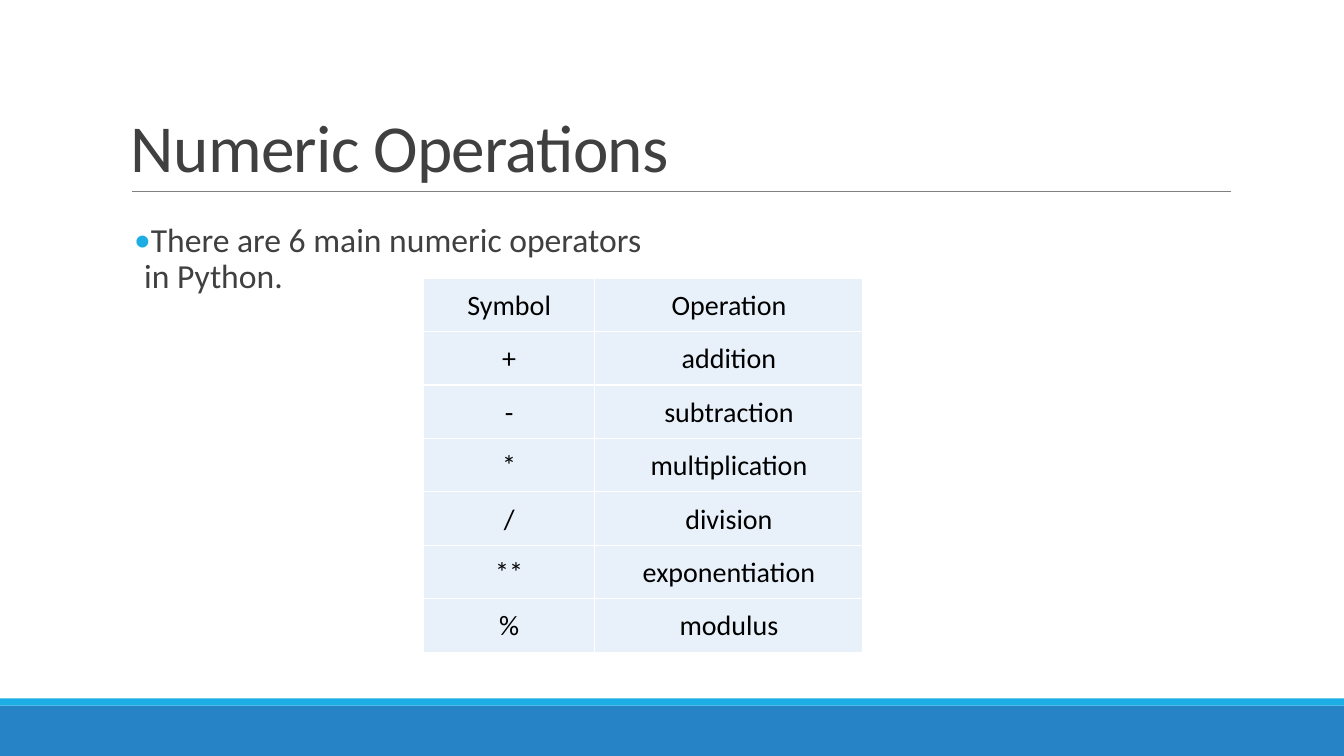
import dataclasses

import lxml.etree
import pptx
import pptx.dml.color
import pptx.enum.shapes
import pptx.enum.text
import pptx.oxml.ns
import pptx.util

Inches = pptx.util.Inches
Pt = pptx.util.Pt
qn = pptx.oxml.ns.qn
ANCHOR = pptx.enum.text.MSO_ANCHOR
ALIGN = pptx.enum.text.PP_ALIGN
FONT = "Calibri"
DARK_GRAY = "404040"
BRIGHT_BLUE = "1CADE4"


@dataclasses.dataclass
class Band:
    top: float
    height: float
    color: str


@dataclasses.dataclass
class Operator:
    symbol: str
    operation: str


BANDS = [Band(7, 0.5, "2683C6"), Band(6.93, 0.07, BRIGHT_BLUE)]
HEADER = Operator("Symbol", "Operation")
OPERATORS = [
    Operator("+", "addition"),
    Operator("-", "subtraction"),
    Operator("*", "multiplication"),
    Operator("/", "division"),
    Operator("**", "exponentiation"),
    Operator("%", "modulus"),
]
COLUMN_WIDTHS = [1.7, 2.66]
ROW_HEIGHT = 0.53


def rgb(color: str):
    return pptx.dml.color.RGBColor.from_string(color)


def write_text(frame, text: str, *, size: float, color: str, align=ALIGN.LEFT,
               line_spacing: float = 1.0, before: float = 0, after: float = 0,
               tracking: float = 0):
    paragraph = frame.paragraphs[0]
    paragraph.alignment = align
    paragraph.line_spacing = line_spacing
    paragraph.space_before = Pt(before)
    paragraph.space_after = Pt(after)
    run = paragraph.add_run()
    run.text = text
    run.font.name = FONT
    run.font.size = Pt(size)
    run.font.color.rgb = rgb(color)
    if tracking:
        run.font._element.set("spc", str(round(tracking * 100)))
    return paragraph


def add_text_box(slide, left: float, top: float, width: float, height: float,
                 *, anchor=ANCHOR.TOP, side_margin: float = 0.1):
    shape = slide.shapes.add_textbox(Inches(left), Inches(top), Inches(width), Inches(height))
    frame = shape.text_frame
    frame.word_wrap = True
    frame.vertical_anchor = anchor
    frame.margin_left = frame.margin_right = Inches(side_margin)
    return frame


def add_bullet(paragraph, character: str, color: str, indent: float) -> None:
    properties = paragraph._p.get_or_add_pPr()
    properties.set("marL", str(Inches(indent)))
    properties.set("indent", str(-Inches(indent)))
    bullet_color = lxml.etree.SubElement(properties, qn("a:buClr"))
    lxml.etree.SubElement(bullet_color, qn("a:srgbClr"), val=color)
    lxml.etree.SubElement(properties, qn("a:buFont"), typeface=FONT)
    lxml.etree.SubElement(properties, qn("a:buChar"), char=character)


def add_band(slide, band: Band, width: int) -> None:
    shape = slide.shapes.add_shape(pptx.enum.shapes.MSO_SHAPE.RECTANGLE, 0,
                                   Inches(band.top), width, Inches(band.height))
    shape.shadow.inherit = False
    shape.fill.solid()
    shape.fill.fore_color.rgb = rgb(band.color)
    shape.line.fill.background()


def add_rule(slide, left: float, right: float, top: float) -> None:
    connector = slide.shapes.add_connector(pptx.enum.shapes.MSO_CONNECTOR.STRAIGHT,
                                           Inches(left), Inches(top), Inches(right), Inches(top))
    connector.line.color.rgb = rgb("808080")
    connector.line.width = Pt(0.5)
    lxml.etree.SubElement(connector._element.spPr, qn("a:effectLst"))


def add_borders(cell, color: str, width: float) -> None:
    properties = cell._tc.get_or_add_tcPr()
    for side in ("lnL", "lnR", "lnT", "lnB"):
        border = lxml.etree.SubElement(properties, qn(f"a:{side}"), w=str(Pt(width)))
        fill = lxml.etree.SubElement(border, qn("a:solidFill"))
        lxml.etree.SubElement(fill, qn("a:srgbClr"), val=color)


def format_cell(cell, text: str) -> None:
    add_borders(cell, "FFFFFF", 1)
    cell.fill.solid()
    cell.fill.fore_color.rgb = rgb("E8F1FA")
    cell.vertical_anchor = ANCHOR.MIDDLE
    cell.margin_left = cell.margin_right = cell.margin_top = Inches(0.02)
    cell.margin_bottom = 0
    write_text(cell.text_frame, text, size=20, color="000000", align=ALIGN.CENTER)


def add_operator_table(slide, left: float, top: float, rows: list[Operator]) -> None:
    table = slide.shapes.add_table(len(rows), len(COLUMN_WIDTHS), Inches(left), Inches(top),
                                   Inches(sum(COLUMN_WIDTHS)),
                                   Inches(ROW_HEIGHT * len(rows))).table
    for column, width in zip(table.columns, COLUMN_WIDTHS):
        column.width = Inches(width)
    for row, operator in zip(table.rows, rows):
        row.height = Inches(ROW_HEIGHT)
        for cell, text in zip(row.cells, dataclasses.astuple(operator)):
            format_cell(cell, text)


presentation = pptx.Presentation()
presentation.slide_width = Inches(13.33)
presentation.slide_height = Inches(7.5)
slide = presentation.slides.add_slide(presentation.slide_layouts[6])

for band in BANDS:
    add_band(slide, band, presentation.slide_width)
add_rule(slide, 1.31, 12.21, 1.9)

title_frame = add_text_box(slide, 1.2, 0.31, 11, 1.59, anchor=ANCHOR.BOTTOM)
write_text(title_frame, "Numeric Operations", size=48, color=DARK_GRAY,
           line_spacing=0.85, tracking=-0.5)

body_frame = add_text_box(slide, 1.33, 2.17, 5.05, 3.3, side_margin=0)
body_paragraph = write_text(body_frame, "There are 6 main numeric operators in Python.",
                            size=24, color=DARK_GRAY, line_spacing=0.9, before=12, after=2)
add_bullet(body_paragraph, "•", BRIGHT_BLUE, 0.1)

add_operator_table(slide, 4.2, 2.76, [HEADER, *OPERATORS])

presentation.save("out.pptx")
